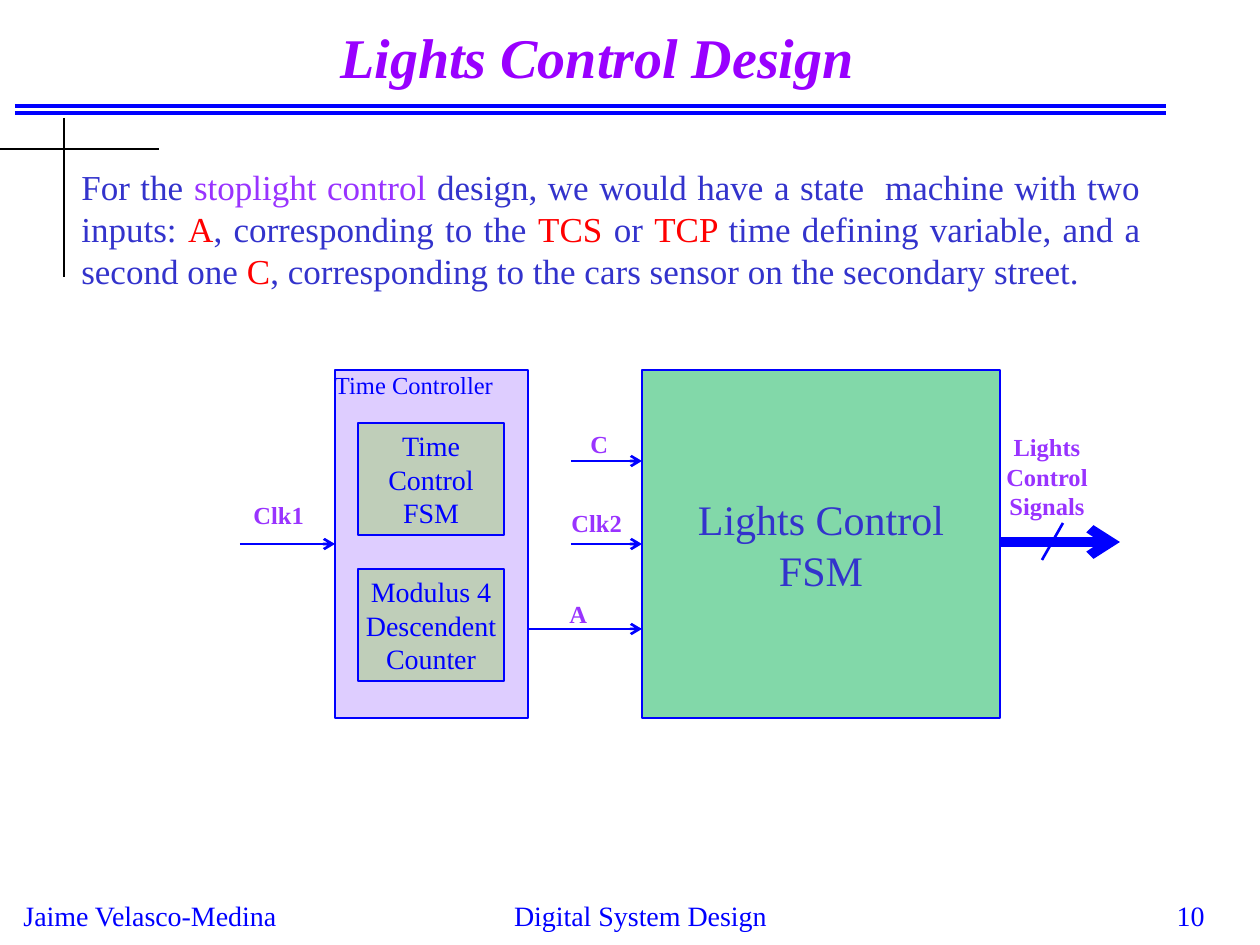
from dataclasses import dataclass
from typing import Optional

import lxml.etree
import pptx
import pptx.dml.color
import pptx.enum.shapes
import pptx.enum.text
import pptx.oxml.ns
import pptx.util

RGBColor = pptx.dml.color.RGBColor
Align = pptx.enum.text.PP_ALIGN
Anchor = pptx.enum.text.MSO_ANCHOR
qn = pptx.oxml.ns.qn

FONT = "Times New Roman"
PX_PER_INCH = 126
BLACK = RGBColor(0x00, 0x00, 0x00)
BLUE = RGBColor(0x00, 0x00, 0xFF)
INDIGO = RGBColor(0x33, 0x33, 0xCC)
VIOLET = RGBColor(0x99, 0x33, 0xFF)
PURPLE = RGBColor(0x99, 0x00, 0xFF)
RED = RGBColor(0xFF, 0x00, 0x00)
LILAC = RGBColor(0x99, 0x66, 0xFF)
LIME = RGBColor(0x92, 0xD0, 0x50)
GREEN = RGBColor(0x00, 0xB0, 0x50)


@dataclass
class Block:
    text: str
    left: int
    top: int
    width: int
    height: int
    fill: RGBColor
    opacity: int
    size: int = 16
    color: RGBColor = BLUE
    align: Align = Align.CENTER
    anchor: Anchor = Anchor.MIDDLE


@dataclass
class Label:
    text: str
    left: int
    top: int
    width: int
    height: int
    align: Align = Align.LEFT
    size: int = 14
    color: RGBColor = VIOLET
    bold: bool = True
    wrap: bool = True


@dataclass
class Line:
    x1: int
    y1: int
    x2: int
    y2: int
    color: RGBColor = BLUE
    weight: float = 1.5
    arrow: bool = False
    target: Optional[str] = None  # block whose left side the line ends on


def px(value: int) -> int:
    return round(value * 914400 / PX_PER_INCH)


def write_text(frame, text, *, size, color, bold=False, italic=False,
               align=Align.LEFT, anchor=Anchor.TOP, wrap=True, inset=None,
               spacing=None) -> None:
    """Write a string, or a list of (string, colour) spans; newlines split paragraphs."""
    frame.word_wrap = wrap
    frame.auto_size = pptx.enum.text.MSO_AUTO_SIZE.NONE
    frame.vertical_anchor = anchor
    if inset is not None:
        frame.margin_left = frame.margin_right = inset
        frame.margin_top = frame.margin_bottom = inset
    if isinstance(text, str):
        paragraphs = [[(line, color)] for line in text.split("\n")]
    else:
        paragraphs = [text]
    for index, spans in enumerate(paragraphs):
        para = frame.add_paragraph() if index else frame.paragraphs[0]
        para.alignment = align
        if spacing:
            para.line_spacing = spacing
        for words, span_color in spans:
            span = para.add_run()
            span.text = words
            span.font.name = FONT
            span.font.size = pptx.util.Pt(size)
            span.font.bold = bold
            span.font.italic = italic
            span.font.color.rgb = span_color


def draw_block(page, block: Block):
    box = page.shapes.add_shape(
        pptx.enum.shapes.MSO_SHAPE.RECTANGLE,
        px(block.left), px(block.top), px(block.width), px(block.height))
    box.shadow.inherit = False
    box.fill.solid()
    box.fill.fore_color.rgb = block.fill
    tint = box._element.spPr.find(qn("a:solidFill"))[0]
    lxml.etree.SubElement(tint, qn("a:alpha")).set("val", str(block.opacity * 1000))
    box.line.color.rgb = BLUE
    box.line.width = pptx.util.Pt(1.5)
    write_text(box.text_frame, block.text, size=block.size, color=block.color,
               align=block.align, anchor=block.anchor, inset=0)
    return box


def draw_label(page, label: Label) -> None:
    box = page.shapes.add_textbox(
        px(label.left), px(label.top), px(label.width), px(label.height))
    write_text(box.text_frame, label.text, size=label.size, color=label.color,
               bold=label.bold, align=label.align, wrap=label.wrap)


def draw_line(page, line: Line, boxes: dict) -> None:
    connector = page.shapes.add_connector(
        pptx.enum.shapes.MSO_CONNECTOR.STRAIGHT,
        px(line.x1), px(line.y1), px(line.x2), px(line.y2))
    connector.line.color.rgb = line.color
    connector.line.width = pptx.util.Pt(line.weight)
    properties = connector._element.spPr
    if line.arrow:
        stroke = properties.find(qn("a:ln"))
        lxml.etree.SubElement(stroke, qn("a:tailEnd")).set("type", "arrow")
    lxml.etree.SubElement(properties, qn("a:effectLst"))
    if line.target:
        connector.end_connect(boxes[line.target], 1)


RULES = [
    Line(15, 106, 1166, 106, weight=2.25),
    Line(15, 113, 1166, 113, weight=2.25),
    Line(0, 149, 159, 149, color=BLACK, weight=0.75),
    Line(64, 118, 64, 277, color=BLACK, weight=0.75),
]
FOOTERS = [
    Label("Jaime Velasco-Medina", 11, 892, 282, 46, Align.LEFT, 16, BLUE, False, False),
    Label("Digital System Design", 420, 892, 441, 42, Align.CENTER, 16, BLUE, False),
    Label("10", 955, 892, 262, 32, Align.RIGHT, 16, BLUE, False),
]
INTRODUCTION = [
    ("For the ", INDIGO), ("stoplight control", VIOLET),
    (" design, we would have a state  machine with two inputs: ", INDIGO),
    ("A", RED), (", corresponding to the ", INDIGO), ("TCS ", RED),
    ("or ", INDIGO), ("TCP ", RED),
    ("time defining variable, and a second one ", INDIGO), ("C", RED),
    (", corresponding to the cars sensor on the secondary street.", INDIGO),
]
BLOCKS = {
    "time controller": Block("Time Controller", 335, 370, 193, 348, LILAC, 32,
                             size=14, align=Align.LEFT, anchor=Anchor.TOP),
    "time control": Block("Time\nControl\nFSM", 358, 423, 146, 112, LIME, 40),
    "counter": Block("Modulus 4\nDescendent\nCounter", 358, 569, 146, 112, LIME, 40),
    "lights control": Block("Lights Control\nFSM", 642, 370, 358, 348, GREEN, 49,
                            size=24, color=INDIGO),
}
SIGNALS = [
    Line(528, 629, 642, 629, arrow=True),
    Line(571, 461, 642, 461, arrow=True),
    Line(571, 544, 642, 544, arrow=True, target="lights control"),
    Line(240, 544, 335, 544, arrow=True, target="time controller"),
    Line(1000, 542, 1120, 542, weight=5.5, arrow=True),
    Line(1063, 523, 1042, 560),
]
SIGNAL_LABELS = [
    Label("Clk1", 241, 494, 83, 42),
    Label("Clk2", 559, 502, 83, 42),
    Label("C", 578, 423, 42, 42),
    Label("A", 557, 593, 42, 42),
    Label("Lights Control Signals", 979, 426, 136, 101, Align.CENTER),
]


def main() -> None:
    deck = pptx.Presentation()
    deck.slide_width, deck.slide_height = px(1260), px(945)
    page = deck.slides.add_slide(deck.slide_layouts[5])

    # Title
    title = page.shapes.title
    title.left, title.top, title.width, title.height = px(20), px(14), px(1155), px(94)
    write_text(title.text_frame, "Lights Control Design", size=32, color=PURPLE,
               bold=True, italic=True, align=Align.CENTER, anchor=Anchor.MIDDLE,
               spacing=0.87)

    # Page rules and footer
    for rule in RULES:
        draw_line(page, rule, {})
    for footer in FOOTERS:
        draw_label(page, footer)

    # Introduction
    body = page.shapes.add_textbox(px(69), px(159), px(1084), px(139))
    write_text(body.text_frame, INTRODUCTION, size=20, color=INDIGO,
               align=Align.JUSTIFY)

    # Block diagram
    boxes = {name: draw_block(page, block) for name, block in BLOCKS.items()}
    for signal in SIGNALS:
        draw_line(page, signal, boxes)
    for label in SIGNAL_LABELS:
        draw_label(page, label)

    deck.save("out.pptx")


if __name__ == "__main__":
    main()
